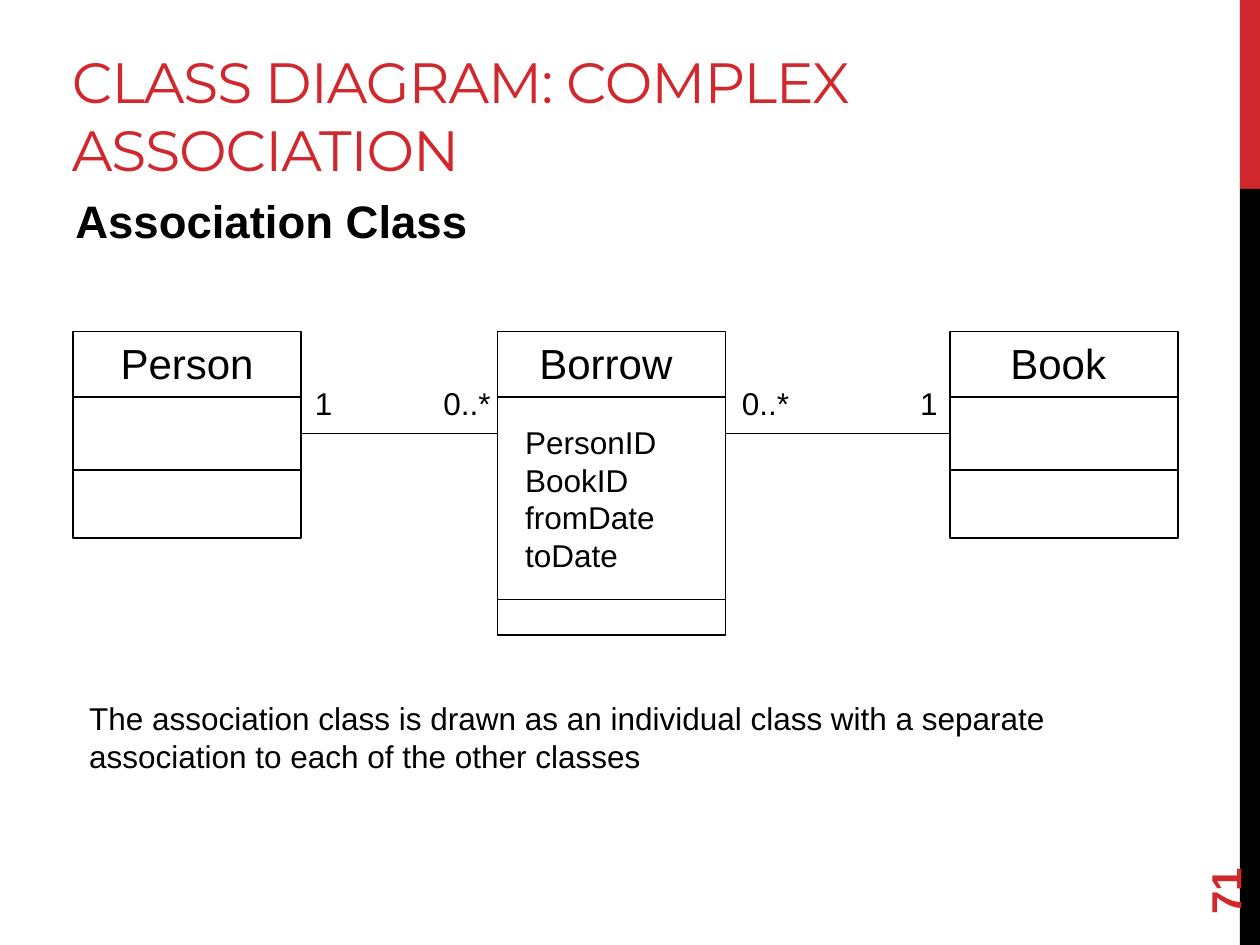
"""Build the slide on association classes in a class diagram."""
import pptx
import pptx.util
import pptx.dml.color
import pptx.enum.shapes
import pptx.enum.text
import pptx.oxml

PX = 9144
HUES = {"red": "D1282E", "black": "000000", "white": "FFFFFF"}
RGB = {name: pptx.dml.color.RGBColor.from_string(hue) for name, hue in HUES.items()}
ALIGN = pptx.enum.text.PP_ALIGN
ANCHOR = pptx.enum.text.MSO_ANCHOR
KINDS = pptx.enum.shapes

deck = pptx.Presentation()
deck.slide_width, deck.slide_height = 1000 * PX, 750 * PX
slide = deck.slides.add_slide(deck.slide_layouts[5])
shapes = slide.shapes


def write(shape, text, size, hue="black", bold=False, align=ALIGN.LEFT,
          anchor=ANCHOR.TOP, font="Arial"):
    frame = shape.text_frame
    frame.text = text
    frame.word_wrap = True
    frame.auto_size = pptx.enum.text.MSO_AUTO_SIZE.NONE
    frame.vertical_anchor = anchor
    for para in frame.paragraphs:
        para.alignment = align
        for run in para.runs:
            run.font.name = font
            run.font.size = pptx.util.Pt(size)
            run.font.bold = bold
            run.font.color.rgb = RGB[hue]
    return frame


def block(left, top, width, height, fill, edge=None):
    shape = shapes.add_shape(KINDS.MSO_SHAPE.RECTANGLE,
                             left * PX, top * PX, width * PX, height * PX)
    shape.shadow.inherit = False
    shape.fill.solid()
    shape.fill.fore_color.rgb = RGB[fill]
    if edge:
        shape.line.color.rgb = RGB[edge]
        shape.line.width = pptx.util.Pt(0.75)
    else:
        shape.line.fill.background()
    return shape


block(984, 0, 16, 150, "red")
block(984, 150, 16, 600, "black")

title = shapes.title
title.left, title.top, title.width, title.height = 47 * PX, 25 * PX, 900 * PX, 125 * PX
frame = write(title, "CLASS DIAGRAM: COMPLEX ASSOCIATION", 32.4, "red",
              anchor=ANCHOR.BOTTOM, font="Montserrat")
frame.paragraphs[0].runs[0].font._element.set("spc", "-60")

head = shapes.add_textbox(50 * PX, 148 * PX, 900 * PX, 85 * PX)
frame = write(head, "Association Class", 26, bold=True)
frame.paragraphs[0].space_before = pptx.util.Pt(5)

page = shapes.add_textbox(900 * PX, 644 * PX, 144 * PX, 40 * PX)
page.rotation = 270
write(page, "71", 24, "red", bold=True, anchor=ANCHOR.MIDDLE)

parts = {}
for name, left, tall, inner in [("Person", 58, 164, 58), ("Book ", 754, 164, 58),
                                ("Borrow ", 395, 241, 161)]:
    if name == "Borrow ":
        link = shapes.add_connector(KINDS.MSO_CONNECTOR.STRAIGHT, 0, 0, 0, 0)
        link.begin_connect(parts["Person"], 3)
        link.end_connect(parts["Book "], 1)
        link.line.color.rgb = RGB["black"]
        link.line.width = pptx.util.Pt(0.25)
        link._element.spPr.append(pptx.oxml.parse_xml(
            '<a:effectLst xmlns:a="http://schemas.openxmlformats.org/drawingml/2006/main"/>'))
    outer = block(left, 263, 181, tall, "white", "black")
    write(outer, name, 24, align=ALIGN.CENTER)
    parts[name] = block(left, 315, 181, inner, "white", "black")

frame = write(parts["Borrow "], "PersonID\nBookID\nfromDate\ntoDate", 18,
              anchor=ANCHOR.MIDDLE)
for para in frame.paragraphs:
    para._p.get_or_add_pPr().set("marL", str(12 * PX))

for text, left, align in [("1", 240, ALIGN.LEFT), ("0..*", 342, ALIGN.LEFT),
                          ("0..*", 579, ALIGN.LEFT), ("1", 683, ALIGN.RIGHT)]:
    label = shapes.add_textbox(left * PX, 300 * PX, 71 * PX, 40 * PX)
    write(label, text, 18, align=align)

note = shapes.add_textbox(61 * PX, 550 * PX, 803 * PX, 71 * PX)
write(note, "The association class is drawn as an individual class with a separate "
      "association to each of the other classes", 18)

deck.save("out.pptx")
